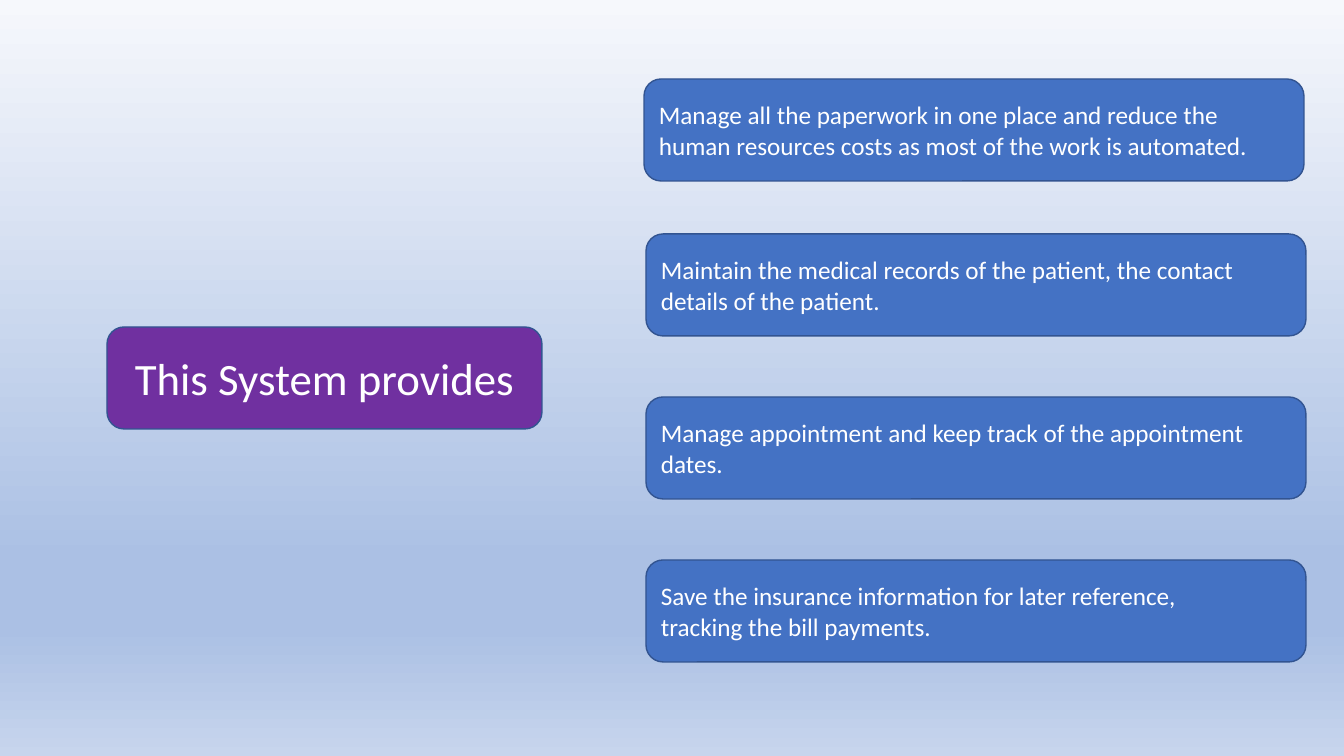
from copy import deepcopy
from dataclasses import dataclass

from pptx import Presentation
from pptx.dml.color import RGBColor
from pptx.enum.shapes import MSO_SHAPE
from pptx.enum.text import MSO_ANCHOR, PP_ALIGN
from pptx.oxml.ns import qn
from pptx.util import Emu, Pt

EMU_PER_PX = 914400 / 100.8


def px(length):
    return Emu(round(length * EMU_PER_PX))


@dataclass(frozen=True)
class Theme:
    font: str = "Calibri"
    heading_size: int = 32
    card_size: int = 18
    heading_fill: str = "7030A0"
    card_fill: str = "4472C4"
    outline: str = "325491"
    text: str = "FFFFFF"
    backdrop: tuple = ((0, "F6F8FC"), (0.74, "ABC0E4"),
                       (0.83, "ABC0E4"), (1, "C7D5ED"))


class SlideBuilder:
    def __init__(self, page, theme):
        self.page = page
        self.theme = theme

    def backdrop(self):
        """Fill the page with the theme's gradient, running downwards."""
        fill = self.page.background.fill
        fill.gradient()
        fill.gradient_angle = 270
        stop_list = next(self.page.element.iter(qn("a:gsLst")))
        while len(stop_list) < len(self.theme.backdrop):
            stop_list.append(deepcopy(stop_list[0]))
        for stop, (position, color) in zip(fill.gradient_stops, self.theme.backdrop):
            stop.position = position
            stop.color.rgb = RGBColor.from_string(color)

    def rounded_box(self, bounds, text, fill, size, alignment):
        box = self.page.shapes.add_shape(
            MSO_SHAPE.ROUNDED_RECTANGLE, *map(px, bounds))
        box.shadow.inherit = False
        box.fill.solid()
        box.fill.fore_color.rgb = RGBColor.from_string(fill)
        box.line.color.rgb = RGBColor.from_string(self.theme.outline)
        box.line.width = Pt(1)

        frame = box.text_frame
        frame.word_wrap = True
        frame.vertical_anchor = MSO_ANCHOR.MIDDLE
        frame.text = text
        font_format = {"name": self.theme.font, "size": Pt(size)}
        for para in frame.paragraphs:
            para.alignment = alignment
            for span in para.runs:
                for name, value in font_format.items():
                    setattr(span.font, name, value)
                span.font.color.rgb = RGBColor.from_string(self.theme.text)

    def heading(self, bounds, text):
        self.rounded_box(bounds, text, self.theme.heading_fill,
                         self.theme.heading_size, PP_ALIGN.CENTER)

    def card(self, bounds, text):
        self.rounded_box(bounds, text, self.theme.card_fill,
                         self.theme.card_size, PP_ALIGN.LEFT)


BOX_HEIGHT = 102
CARD_WIDTH = 660

# Left, top and text of each benefit
BENEFITS = (
    (644, 79, "Manage all the paperwork in one place and reduce the "
              "human resources costs as most of the work is automated."),
    (646, 234, "Maintain the medical records of the patient, "
               "the contact details of the patient."),
    (646, 397, "Manage appointment and keep track of the appointment dates."),
    (646, 560, "Save the insurance information for later reference,\n"
               "tracking the bill payments."),
)


def main():
    deck = Presentation()
    deck.slide_width, deck.slide_height = px(1344), px(756)
    blank_layout = deck.slide_layouts[6]
    builder = SlideBuilder(deck.slides.add_slide(blank_layout), Theme())

    # Background and heading
    builder.backdrop()
    builder.heading((107, 327, 435, BOX_HEIGHT), "This System provides")

    # Benefit cards
    for left, top, text in BENEFITS:
        builder.card((left, top, CARD_WIDTH, BOX_HEIGHT), text)

    deck.save("out.pptx")


if __name__ == "__main__":
    main()
